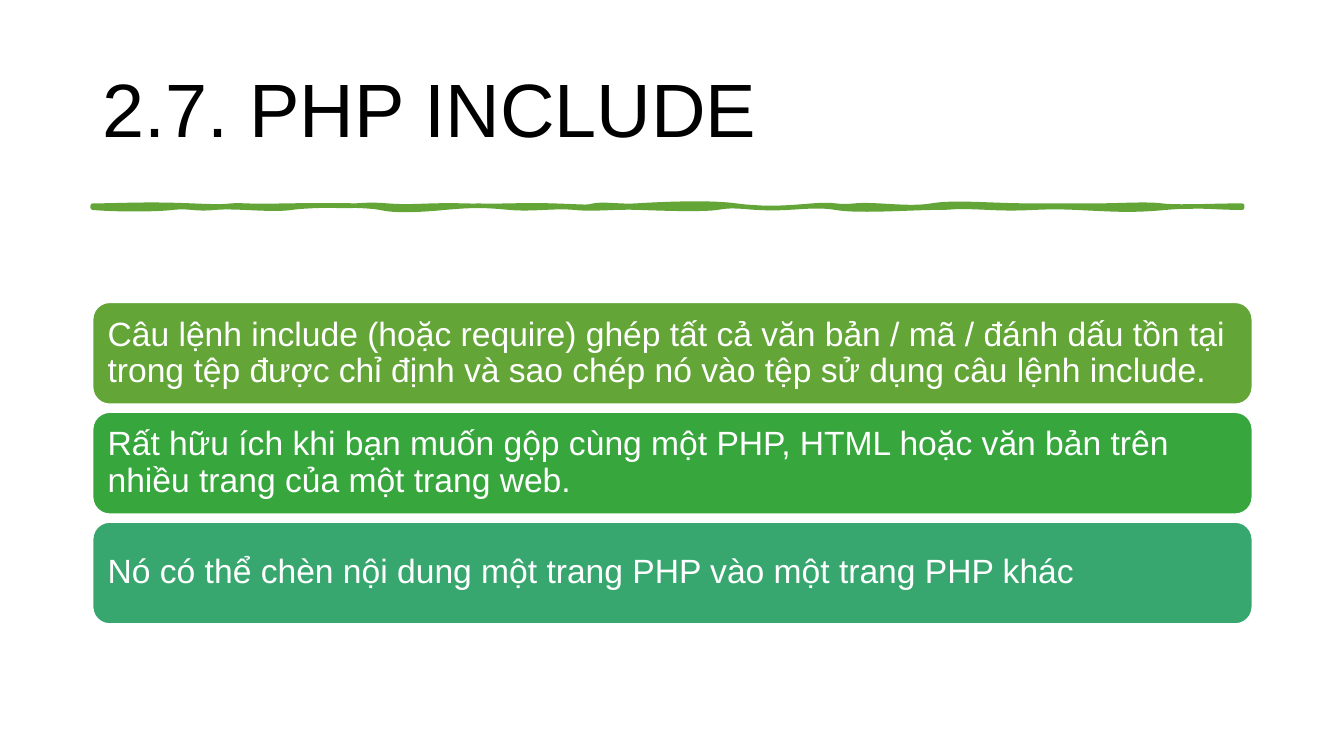
from lxml import etree
from pptx import Presentation
from pptx import util as u
from pptx.dml.color import RGBColor
from pptx.enum import shapes, text
from pptx.oxml import ns

BLACK = RGBColor(0x00, 0x00, 0x00)
WHITE = RGBColor(0xFF, 0xFF, 0xFF)
OLIVE = RGBColor(0x63, 0xA5, 0x37)
GREEN = RGBColor(0x37, 0xA6, 0x3D)
TEAL = RGBColor(0x37, 0xA7, 0x6F)

LEFT, WIDTH = 0.92, 11.5


def write_text(shape, content, size, color, inset_x, inset_y):
    frame = shape.text_frame
    frame.word_wrap = True
    frame.vertical_anchor = text.MSO_ANCHOR.MIDDLE
    frame.margin_left = frame.margin_right = u.Inches(inset_x)
    frame.margin_top = frame.margin_bottom = u.Inches(inset_y)
    paragraph = frame.paragraphs[0]
    paragraph.text = content
    paragraph.alignment = text.PP_ALIGN.LEFT
    paragraph.line_spacing = 0.9
    paragraph.font.name = "Arial"
    paragraph.font.size = u.Pt(size)
    paragraph.font.color.rgb = color


presentation = Presentation()
presentation.slide_width = u.Inches(13.33)
presentation.slide_height = u.Inches(7.5)
slide = presentation.slides.add_slide(presentation.slide_layouts[6])

# Title
title = slide.shapes.add_textbox(u.Inches(LEFT), u.Inches(0.4),
                                 u.Inches(WIDTH), u.Inches(1.45))
write_text(title, "2.7. PHP INCLUDE", 54, BLACK, 0.1, 0.05)

# Hand-drawn rule: each row holds two control points and the end of a curve
rule_start = (0.92, 2.04)
rule_curves = [
    (1.19, 2.04, 1.44, 2.02, 1.9, 2.04),
    (2.37, 2.06, 2.2, 2.03, 2.44, 2.04),
    (2.67, 2.05, 3.03, 2.03, 3.31, 2.04),
    (3.6, 2.05, 3.59, 2.02, 3.84, 2.04),
    (4.1, 2.06, 4.23, 2.03, 4.6, 2.04),
    (4.98, 2.05, 5.14, 2.03, 5.48, 2.04),
    (5.81, 2.05, 5.81, 2.06, 5.89, 2.04),
    (5.98, 2.02, 6.15, 2.05, 6.31, 2.04),
    (6.47, 2.03, 7.01, 2, 7.3, 2.04),
    (7.59, 2.08, 7.81, 2.06, 8.06, 2.04),
    (8.31, 2.02, 8.27, 2.06, 8.48, 2.04),
    (8.68, 2.02, 9.01, 2.08, 9.24, 2.04),
    (9.47, 2, 9.82, 2.04, 10.23, 2.04),
    (10.63, 2.04, 10.63, 2.04, 10.87, 2.04),
    (11.12, 2.04, 11.36, 2.02, 11.52, 2.04),
    (11.68, 2.06, 12.03, 2.04, 12.32, 2.04),
    (12.32, 2.05, 12.32, 2.05, 12.32, 2.06),
    (12.05, 2.06, 11.89, 2.03, 11.56, 2.06),
    (11.22, 2.09, 11.1, 2.08, 10.68, 2.06),
    (10.27, 2.04, 10.23, 2.08, 9.81, 2.06),
    (9.39, 2.04, 9.52, 2.06, 9.28, 2.06),
    (9.04, 2.06, 8.51, 2.1, 8.29, 2.06),
    (8.06, 2.02, 7.82, 2.08, 7.53, 2.06),
    (7.24, 2.04, 7.25, 2.04, 7.11, 2.06),
    (6.98, 2.08, 6.61, 2.07, 6.35, 2.06),
    (6.09, 2.05, 5.9, 2.08, 5.7, 2.06),
    (5.51, 2.04, 5.28, 2.08, 5.06, 2.06),
    (4.83, 2.04, 4.73, 2.03, 4.41, 2.06),
    (4.09, 2.09, 3.9, 2.09, 3.77, 2.06),
    (3.63, 2.03, 3.1, 2.03, 2.89, 2.06),
    (2.68, 2.09, 2.35, 2.04, 2.13, 2.06),
    (1.92, 2.08, 1.89, 2.04, 1.71, 2.06),
    (1.54, 2.08, 1.14, 2.08, 0.92, 2.06),
    (0.92, 2.05, 0.92, 2.05, 0.92, 2.04),
]
builder = slide.shapes.build_freeform(u.Inches(rule_start[0]), u.Inches(rule_start[1]))
builder.add_line_segments([(u.Inches(curve[4]), u.Inches(curve[5]))
                           for curve in rule_curves], close=True)
rule = builder.convert_to_shape()
rule.shadow.inherit = False
rule.fill.solid()
rule.fill.fore_color.rgb = OLIVE
rule.line.color.rgb = OLIVE
rule.line.width = u.Pt(3.25)

# Bend the straight segments into curves
for segment, curve in zip(rule._element.xpath(".//a:lnTo"), rule_curves):
    bend = etree.Element(ns.qn("a:cubicBezTo"))
    for x, y in zip(curve[::2], curve[1::2]):
        etree.SubElement(bend, ns.qn("a:pt"), x=str(u.Inches(x) - rule.left),
                         y=str(u.Inches(y) - rule.top))
    segment.getparent().replace(segment, bend)

# Stacked cards
cards = [
    ("Câu lệnh include (hoặc require) ghép tất cả văn bản / mã / đánh dấu tồn tại "
     "trong tệp được chỉ định và sao chép nó vào tệp sử dụng câu lệnh include.", OLIVE),
    ("Rất hữu ích khi bạn muốn gộp cùng một PHP, HTML hoặc văn bản trên "
     "nhiều trang của một trang web.", GREEN),
    ("Nó có thể chèn nội dung một trang PHP vào một trang PHP khác", TEAL),
]
CARD_TOP, CARD_HEIGHT, CARD_PITCH = 3, 1.01, 1.09
for index, (content, color) in enumerate(cards):
    card = slide.shapes.add_shape(
        shapes.MSO_SHAPE.ROUNDED_RECTANGLE,
        u.Inches(LEFT), u.Inches(CARD_TOP + index * CARD_PITCH),
        u.Inches(WIDTH), u.Inches(CARD_HEIGHT))
    card.shadow.inherit = False
    card.fill.solid()
    card.fill.fore_color.rgb = color
    card.line.color.rgb = WHITE
    card.line.width = u.Pt(1)
    # The rounded corners add about 0.05 inch to the text inset
    write_text(card, content, 24, WHITE, 0.1, 0.1)

presentation.save("out.pptx")
